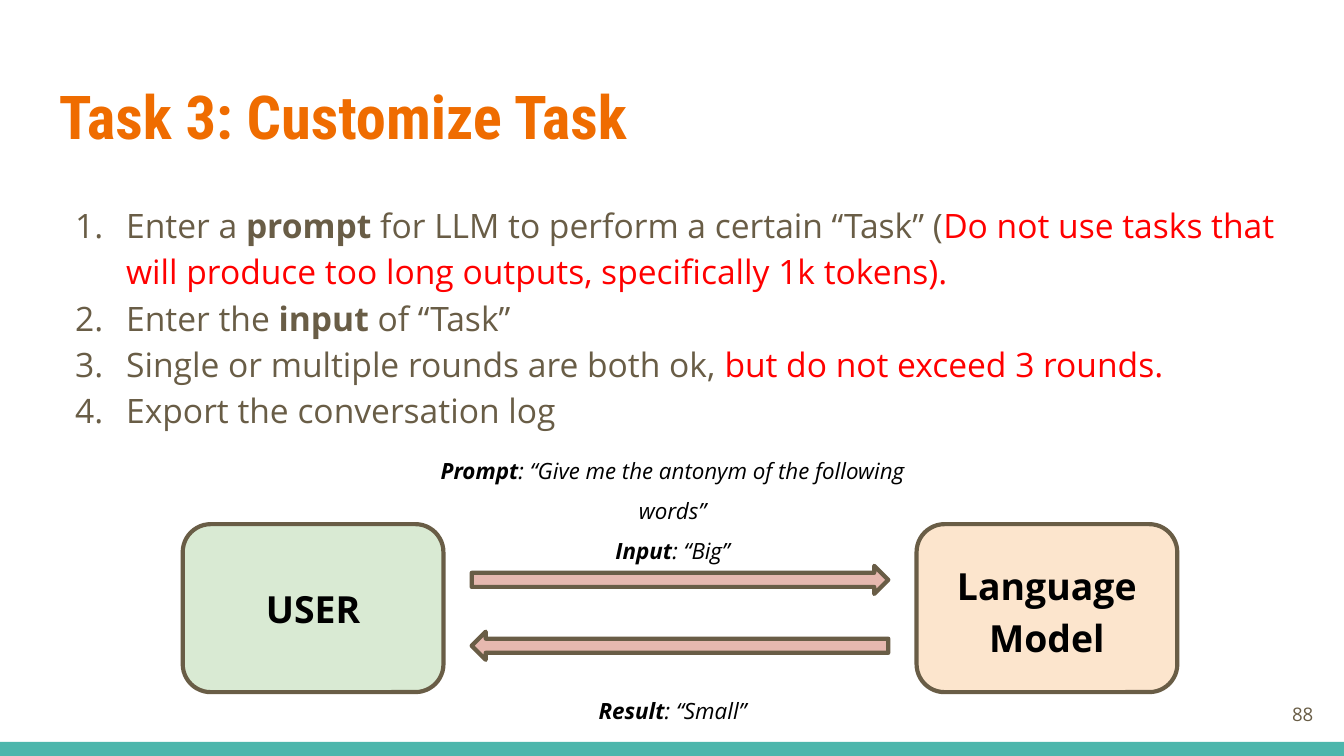
import pptx
import pptx.dml.color
import pptx.enum.shapes
import pptx.enum.text
import pptx.oxml.ns
import pptx.util
from lxml import etree
from pptx.util import Inches

BODY_FONT = "Open Sans"
TITLE_FONT = "Roboto Condensed"
BROWN, RED, BLACK = "695D46", "FF0000", "000000"
SHAPES = pptx.enum.shapes.MSO_SHAPE
ALIGN = pptx.enum.text.PP_ALIGN
ANCHOR = pptx.enum.text.MSO_ANCHOR
AUTO_SIZE = pptx.enum.text.MSO_AUTO_SIZE


def color(hex_string):
    return pptx.dml.color.RGBColor.from_string(hex_string)


def set_up_frame(shape, anchor):
    frame = shape.text_frame
    frame.word_wrap = True
    frame.vertical_anchor = anchor
    frame.margin_left = frame.margin_right = Inches(0.1)
    frame.margin_top = frame.margin_bottom = Inches(0.1)
    return frame


def number_paragraph(paragraph):
    """Give the paragraph an automatic number with a hanging indent."""
    properties = paragraph._p.get_or_add_pPr()
    properties.set("marL", str(Inches(0.5)))
    properties.set("indent", str(Inches(-0.38)))
    qn = pptx.oxml.ns.qn
    bullet_color = etree.SubElement(properties, qn("a:buClr"))
    etree.SubElement(bullet_color, qn("a:srgbClr"), val=BROWN)
    etree.SubElement(properties, qn("a:buFont"), typeface=BODY_FONT)
    etree.SubElement(properties, qn("a:buAutoNum"), type="arabicPeriod")


def fill_frame(frame, paragraphs, size, font=BODY_FONT, align=ALIGN.LEFT,
               spacing=1.0, italic=False, numbered=False):
    """Write paragraphs, each a list of (text, color, bold) runs."""
    for index, runs in enumerate(paragraphs):
        paragraph = frame.paragraphs[0] if index == 0 else frame.add_paragraph()
        if numbered:
            number_paragraph(paragraph)
        paragraph.alignment = align
        paragraph.line_spacing = spacing
        for text, hex_string, bold in runs:
            run = paragraph.add_run()
            run.text = text
            run.font.name = font
            run.font.size = pptx.util.Pt(size)
            run.font.bold = bold
            run.font.italic = italic
            run.font.color.rgb = color(hex_string)


def add_text(slide, left, top, width, height, paragraphs, size,
             anchor=ANCHOR.TOP, **style):
    box = slide.shapes.add_textbox(
        Inches(left), Inches(top), Inches(width), Inches(height))
    frame = set_up_frame(box, anchor)
    fill_frame(frame, paragraphs, size, **style)
    return frame


def add_shape(slide, kind, left, top, width, height, fill, outlined=True):
    shape = slide.shapes.add_shape(
        kind, Inches(left), Inches(top), Inches(width), Inches(height))
    shape.shadow.inherit = False
    shape.fill.solid()
    shape.fill.fore_color.rgb = color(fill)
    if outlined:
        shape.line.color.rgb = color(BROWN)
        shape.line.width = pptx.util.Pt(2.25)
    else:
        shape.line.fill.background()
    return shape


def add_actor(slide, left, fill, lines, spacing):
    actor = add_shape(slide, SHAPES.ROUNDED_RECTANGLE, left, 3.9, 1.94, 1.25, fill)
    frame = set_up_frame(actor, ANCHOR.MIDDLE)
    fill_frame(frame, [[(line, BLACK, True)] for line in lines], 20,
               align=ALIGN.CENTER, spacing=spacing)


def add_arrow(slide, kind, top):
    add_shape(slide, kind, 3.51, top, 3.1, 0.21, "E6B8AF")


def add_message(slide, top, height, parts):
    """Add centred italic lines, each a bold label and its value."""
    paragraphs = [[(label, BLACK, True), (f": {value}", BLACK, False)]
                  for label, value in parts]
    frame = add_text(slide, 3.14, top, 3.73, height, paragraphs, 12,
                     align=ALIGN.CENTER, spacing=1.5, italic=True)
    frame.auto_size = AUTO_SIZE.SHAPE_TO_FIT_TEXT


def main():
    presentation = pptx.Presentation()
    presentation.slide_width = Inches(10)
    presentation.slide_height = Inches(10) * 9 // 16
    slide = presentation.slides.add_slide(presentation.slide_layouts[6])

    add_shape(slide, SHAPES.RECTANGLE, 0, 5.52, 10, 0.11, "4DB6AC", outlined=False)
    add_text(slide, 0.34, 0.49, 9.32, 0.77,
             [[("Task 3: Customize Task", "EF6C00", True)]], 32.4,
             font=TITLE_FONT)

    steps = [
        [("Enter a ", BROWN, False), ("prompt", BROWN, True),
         (" for LLM to perform a certain “Task” (", BROWN, False),
         ("Do not use tasks that will produce too long outputs, "
          "specifically 1k tokens).", RED, False)],
        [("Enter the ", BROWN, False), ("input", BROWN, True),
         (" of “Task”", BROWN, False)],
        [("Single or multiple rounds are both ok, ", BROWN, False),
         ("but do not exceed 3 rounds.", RED, False)],
        [("Export the conversation log", BROWN, False)],
    ]
    add_text(slide, 0.34, 1.38, 9.32, 3.61, steps, 18, spacing=1.15, numbered=True)

    add_actor(slide, 1.36, "D9EAD3", ["USER"], 1.0)
    add_actor(slide, 6.82, "FCE5CD", ["Language", "Model"], 1.15)
    add_arrow(slide, SHAPES.RIGHT_ARROW, 4.21)
    add_message(slide, 3.2, 1.01, [
        ("Prompt", "“Give me the antonym of the following words”"),
        ("Input", "“Big”"),
    ])
    add_arrow(slide, SHAPES.LEFT_ARROW, 4.7)
    add_message(slide, 4.99, 0.71, [("Result", "“Small”")])

    add_text(slide, 9.27, 5.1, 0.6, 0.43, [[("88", BROWN, False)]], 10,
             anchor=ANCHOR.MIDDLE, align=ALIGN.RIGHT)
    presentation.save("out.pptx")


if __name__ == "__main__":
    main()
